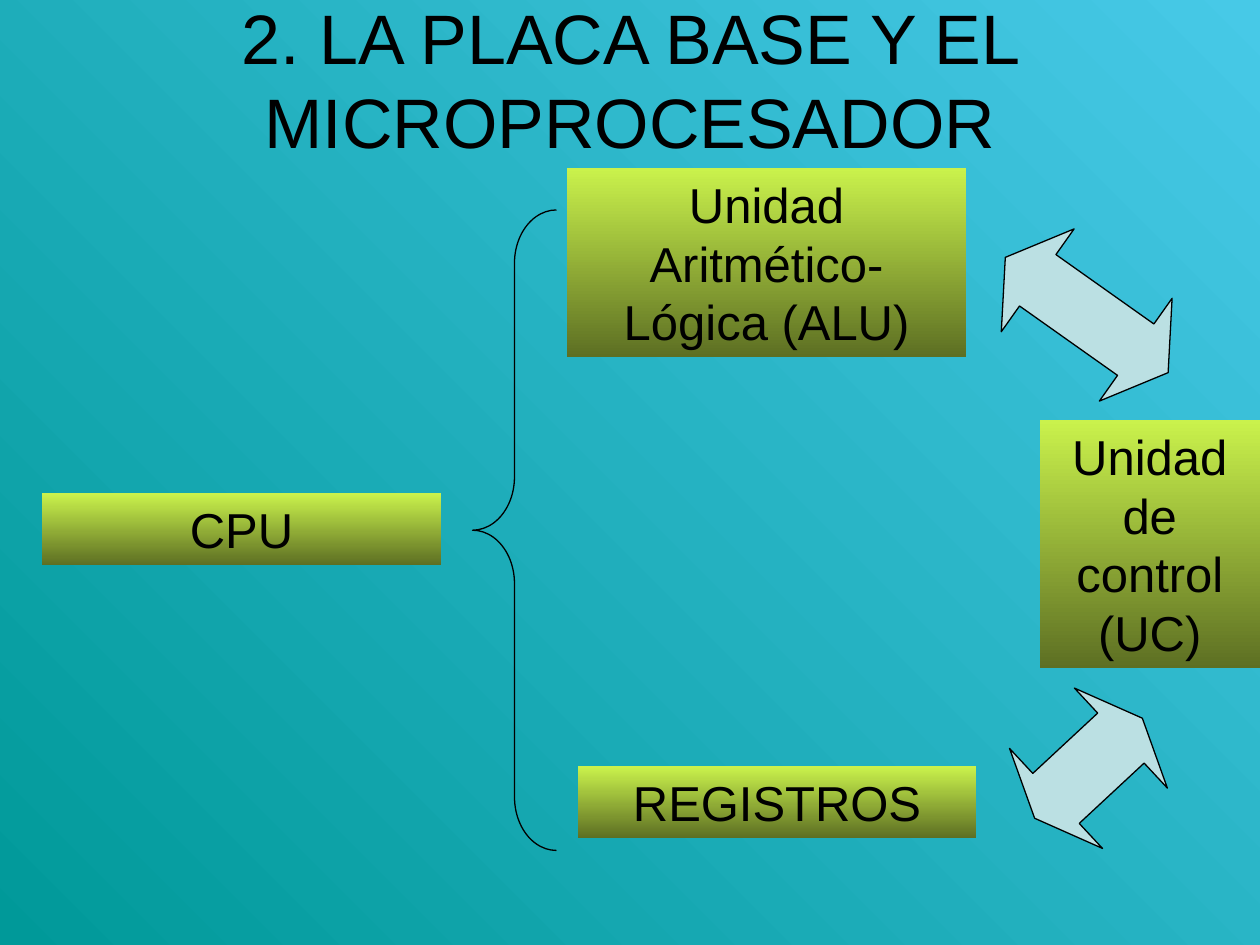
from pptx import Presentation
from pptx.dml.color import RGBColor
from pptx.enum.shapes import MSO_SHAPE
from pptx.enum.text import MSO_ANCHOR, MSO_AUTO_SIZE, PP_ALIGN
from pptx.util import Pt

RECTANGLE = MSO_SHAPE.RECTANGLE
BRACE = MSO_SHAPE.LEFT_BRACE
DOUBLE_ARROW = MSO_SHAPE.LEFT_RIGHT_ARROW
TOP, MIDDLE = MSO_ANCHOR.TOP, MSO_ANCHOR.MIDDLE
CENTER = PP_ALIGN.CENTER
NO_FIT, GROW = MSO_AUTO_SIZE.NONE, MSO_AUTO_SIZE.SHAPE_TO_FIT_TEXT

COLORS = {
    "sky": "47C9E7",
    "teal": "009999",
    "lime": "CAF24C",
    "olive": "5D6F23",
    "arrow": "BBE0E3",
    "black": "000000",
}


def set_gradient(fill, start, end, angle):
    fill.gradient()
    fill.gradient_angle = angle
    for stop, name, position in zip(fill.gradient_stops, (start, end), (0, 1)):
        stop.color.rgb = RGBColor.from_string(COLORS[name])
        stop.position = position


def write_text(shape, text, size, frame_format):
    frame = shape.text_frame
    for name, value in frame_format.items():
        setattr(frame, name, value)
    paragraph = frame.paragraphs[0]
    paragraph.text = text
    paragraph.alignment = CENTER
    paragraph.font.name = "Arial"
    paragraph.font.size = Pt(size)
    paragraph.font.color.rgb = RGBColor.from_string(COLORS["black"])


presentation = Presentation()
presentation.slide_width, presentation.slide_height = Pt(720), Pt(540)
slide = presentation.slides.add_slide(presentation.slide_layouts[5])

# Background
set_gradient(slide.background.fill, "sky", "teal", 225)

# Title
title = slide.shapes.title
title.left, title.top, title.width, title.height = Pt(36), Pt(0), Pt(648), Pt(90)
write_text(title, "2. LA PLACA BASE Y EL MICROPROCESADOR", 40,
           {"vertical_anchor": MIDDLE, "word_wrap": True, "auto_size": NO_FIT})

# Boxes: the CPU and its parts
boxes = [
    ("CPU", 24, 282, 228, 41),
    ("Unidad Aritmético-Lógica (ALU)", 324, 96, 228, 108),
    ("REGISTROS", 330, 438, 228, 41),
    ("Unidad de control (UC)", 594, 240, 126, 142),
]
for text, *place in boxes:
    box = slide.shapes.add_shape(RECTANGLE, *map(Pt, place))
    box.shadow.inherit = False
    box.line.fill.background()
    set_gradient(box.fill, "lime", "olive", 270)
    write_text(box, text, 28,
               {"vertical_anchor": TOP, "word_wrap": True, "auto_size": GROW})

# Brace and double arrows: kind, place, rotation, adjustments, fill
outlined = [
    (DOUBLE_ARROW, (564, 144, 114, 72), 35.3, (0.5, 0.315), "arrow"),
    (DOUBLE_ARROW, (580, 400, 84, 78), 317.1, (0.5, 0.214), "arrow"),
    (BRACE, (270, 120, 48, 366), 0, (0.635, 0.5), None),
]
for kind, place, rotation, adjustments, color in outlined:
    shape = slide.shapes.add_shape(kind, *map(Pt, place))
    shape.shadow.inherit = False
    shape.rotation = rotation
    for index, value in enumerate(adjustments):
        shape.adjustments[index] = value
    if color:
        shape.fill.solid()
        shape.fill.fore_color.rgb = RGBColor.from_string(COLORS[color])
    else:
        shape.fill.background()
    shape.line.color.rgb = RGBColor.from_string(COLORS["black"])
    shape.line.width = Pt(0.75)

presentation.save("out.pptx")
